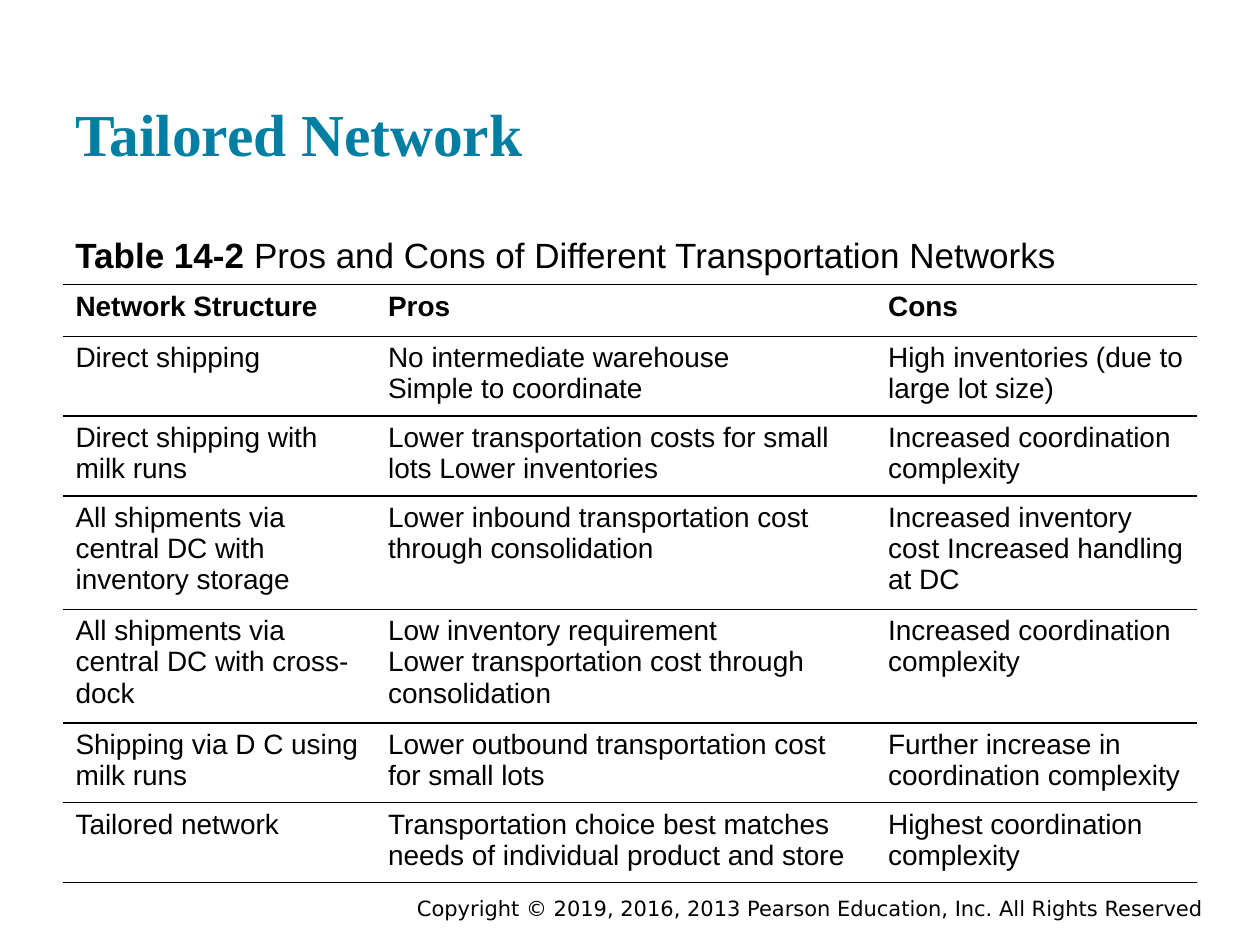
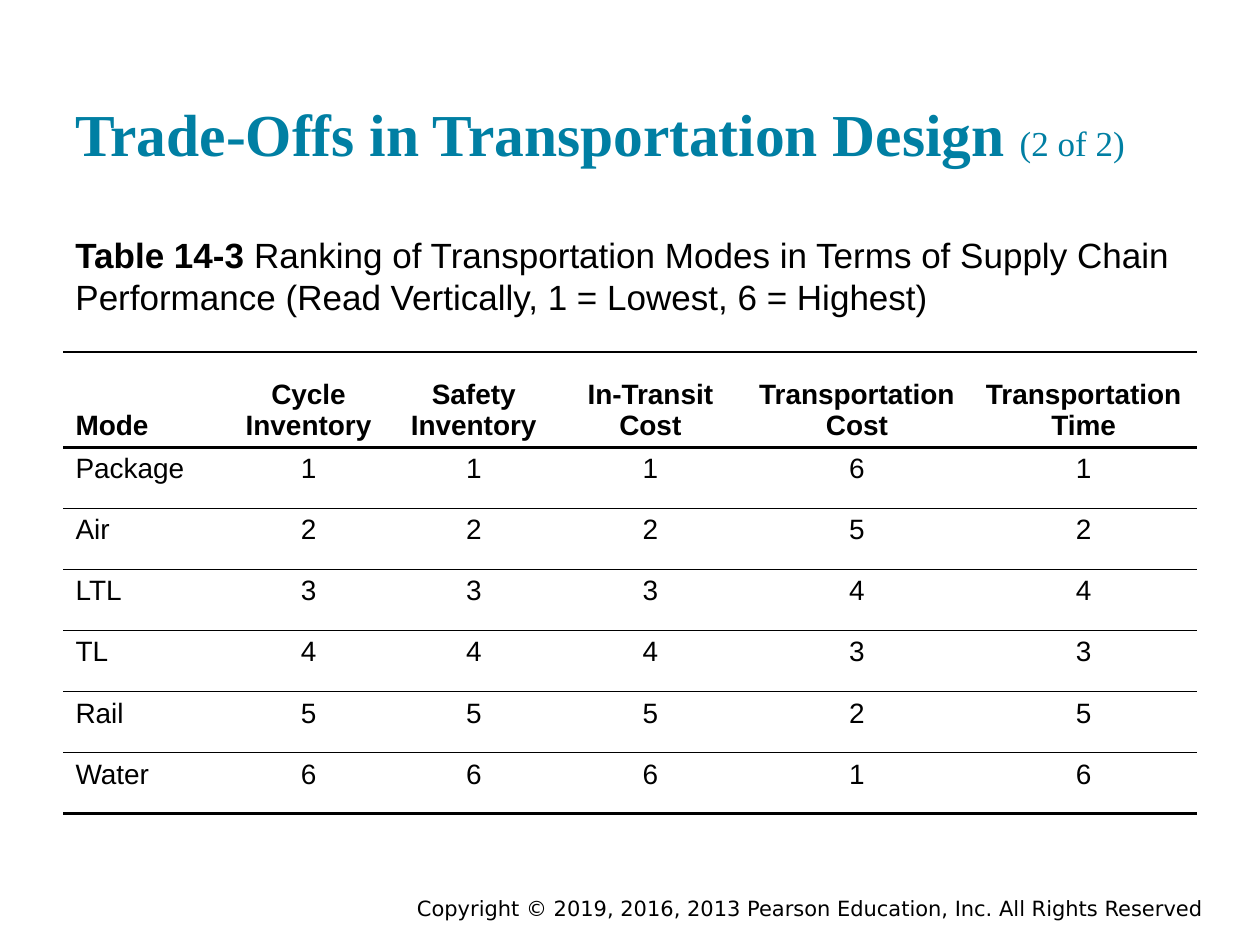
from lxml.etree import SubElement
from pptx import Presentation
from pptx.dml.color import RGBColor
from pptx.enum.text import MSO_ANCHOR, MSO_AUTO_SIZE, PP_ALIGN
from pptx.oxml.ns import qn
from pptx.util import Cm, Pt

TEAL, BLACK = "007FA3", "000000"
SERIF, SANS, FOOT = "Times New Roman", "Arial", "DejaVu Sans"
LEFT, WIDTH = 1.27, 22.86
NOTICE = "Copyright © 2019, 2016, 2013 Pearson Education, Inc. All Rights Reserved"

NETWORKS = [
    ["Network Structure", "Pros", "Cons"],
    ["Direct shipping",
     "No intermediate warehouse\nSimple to coordinate",
     "High inventories (due to large lot size)"],
    ["Direct shipping with milk runs",
     "Lower transportation costs for small lots Lower inventories",
     "Increased coordination complexity"],
    ["All shipments via central DC with inventory storage",
     "Lower inbound transportation cost through consolidation",
     "Increased inventory cost Increased handling at DC"],
    ["All shipments via central DC with cross-dock",
     "Low inventory requirement\nLower transportation cost through\nconsolidation",
     "Increased coordination complexity"],
    ["Shipping via D C using milk runs",
     "Lower outbound transportation cost for small lots",
     "Further increase in coordination complexity"],
    ["Tailored network",
     "Transportation choice best matches needs of individual product and store",
     "Highest coordination complexity"],
]

MODES = [
    ["Mode", "Cycle Inventory", "Safety Inventory", "In-Transit Cost",
     "Transportation Cost", "Transportation Time"],
    ["Package", 1, 1, 1, 6, 1],
    ["Air", 2, 2, 2, 5, 2],
    ["LTL", 3, 3, 3, 4, 4],
    ["TL", 4, 4, 4, 3, 3],
    ["Rail", 5, 5, 5, 2, 5],
    ["Water", 6, 6, 6, 1, 6],
]


def color(code):
    return RGBColor.from_string(code)


def place(shape, left, top, width, height):
    shape.left, shape.top = Cm(left), Cm(top)
    shape.width, shape.height = Cm(width), Cm(height)


def style(run, size, face, code, bold=False):
    font = run.font
    font.size, font.name, font.bold = Pt(size), face, bold
    font.color.rgb = color(code)


def border(cell, top, bottom):
    """Rule a cell above and below (widths in points), with open sides."""
    props = cell._tc.get_or_add_tcPr()
    for tag, width in (("lnL", 0), ("lnR", 0), ("lnT", top), ("lnB", bottom)):
        line = SubElement(props, qn(f"a:{tag}"), w=str(Pt(width)))
        if width:
            fill = SubElement(line, qn("a:solidFill"))
            SubElement(fill, qn("a:srgbClr"), val=BLACK)
        else:
            SubElement(line, qn("a:noFill"))


class Deck:
    def __init__(self):
        self.show = Presentation()
        self.show.slide_width, self.show.slide_height = Cm(25.4), Cm(19.05)
        self.slide = None

    def page(self):
        """Start a slide with its copyright line."""
        self.slide = self.show.slides.add_slide(self.show.slide_layouts[1])
        box = self.slide.shapes.add_textbox(
            Cm(7.62), Cm(17.98), Cm(16.89), Cm(0.64))
        frame = box.text_frame
        frame.word_wrap = True
        frame.vertical_anchor = MSO_ANCHOR.MIDDLE
        frame.text = NOTICE
        line = frame.paragraphs[0]
        line.alignment = PP_ALIGN.RIGHT
        style(line.runs[0], 12, FOOT, BLACK)

    def fill(self, holder, top, height, anchor, parts):
        """Fill a placeholder with parts: (text, size, face, colour, bold)."""
        place(holder, LEFT, top, WIDTH, height)
        frame = holder.text_frame
        frame.auto_size = MSO_AUTO_SIZE.NONE
        frame.vertical_anchor = anchor
        frame.margin_left = frame.margin_right = Cm(0.25)
        frame.margin_top = frame.margin_bottom = Cm(0.25)
        line = frame.paragraphs[0]
        props = line._p.get_or_add_pPr()
        props.set("marL", "0")
        props.set("indent", "0")
        SubElement(props, qn("a:buNone"))
        line.alignment = PP_ALIGN.LEFT
        line.space_before = Pt(0)
        for text, *look in parts:
            run = line.add_run()
            run.text = text
            style(run, *look)

    def title(self, text, part=""):
        parts = [(text, 34, SERIF, TEAL, True)]
        if part:
            parts.append((part, 20, SERIF, TEAL))
        self.fill(self.slide.shapes.title, 1.68, 1.96, MSO_ANCHOR.BOTTOM, parts)

    def label(self, number, text, height):
        """Write the table caption in the body placeholder."""
        self.fill(self.slide.placeholders[1], 4.45, height, MSO_ANCHOR.TOP,
                  [(number, 20, SANS, BLACK, True), (text, 20, SANS, BLACK)])

    def table(self, top, data, cols, rows, rules, ranks=False):
        """Draw data; ranks centres the values and sets the heads low."""
        table = self.slide.shapes.add_table(
            len(rows), len(cols), Cm(LEFT), Cm(top),
            Cm(WIDTH), Cm(sum(rows))).table
        table.first_row = table.horz_banding = False
        for col, width in zip(table.columns, cols):
            col.width = Cm(width)
        for r, (row, height) in enumerate(zip(data, rows)):
            table.rows[r].height = Cm(height)
            for c, value in enumerate(row):
                cell = table.cell(r, c)
                cell.text = str(value)
                border(cell, rules[r], rules[r + 1])
                cell.fill.background()
                head = r == 0
                if ranks and head:
                    cell.vertical_anchor = MSO_ANCHOR.BOTTOM
                for line in cell.text_frame.paragraphs:
                    if ranks and c:
                        line.alignment = PP_ALIGN.CENTER
                    style(line.runs[0], 16, SANS, BLACK, head)


def main():
    deck = Deck()

    deck.page()
    deck.title("Tailored Network")
    deck.label("Table 14-2",
               " Pros and Cons of Different Transportation Networks", 1.04)
    deck.table(5.74, NETWORKS, [6.3, 10.08, 6.48],
               [1.04, 1.51, 1.51, 2.13, 2.13, 1.51, 1.51], [1] * 8)

    deck.page()
    deck.title("Trade-Offs in Transportation Design ", "(2 of 2)")
    deck.label("Table 14-3 ",
               "Ranking of Transportation Modes in Terms of Supply Chain "
               "Performance (Read Vertically, 1 = Lowest, 6 = Highest)", 2.26)
    deck.table(7.09, MODES, [3.3, 3.3, 3.36, 3.76, 4.57, 4.57],
               [1.93] + [1.23] * 6, [1.5, 1.5] + [1] * 5 + [1.5], ranks=True)

    deck.show.save("out.pptx")


if __name__ == "__main__":
    main()
